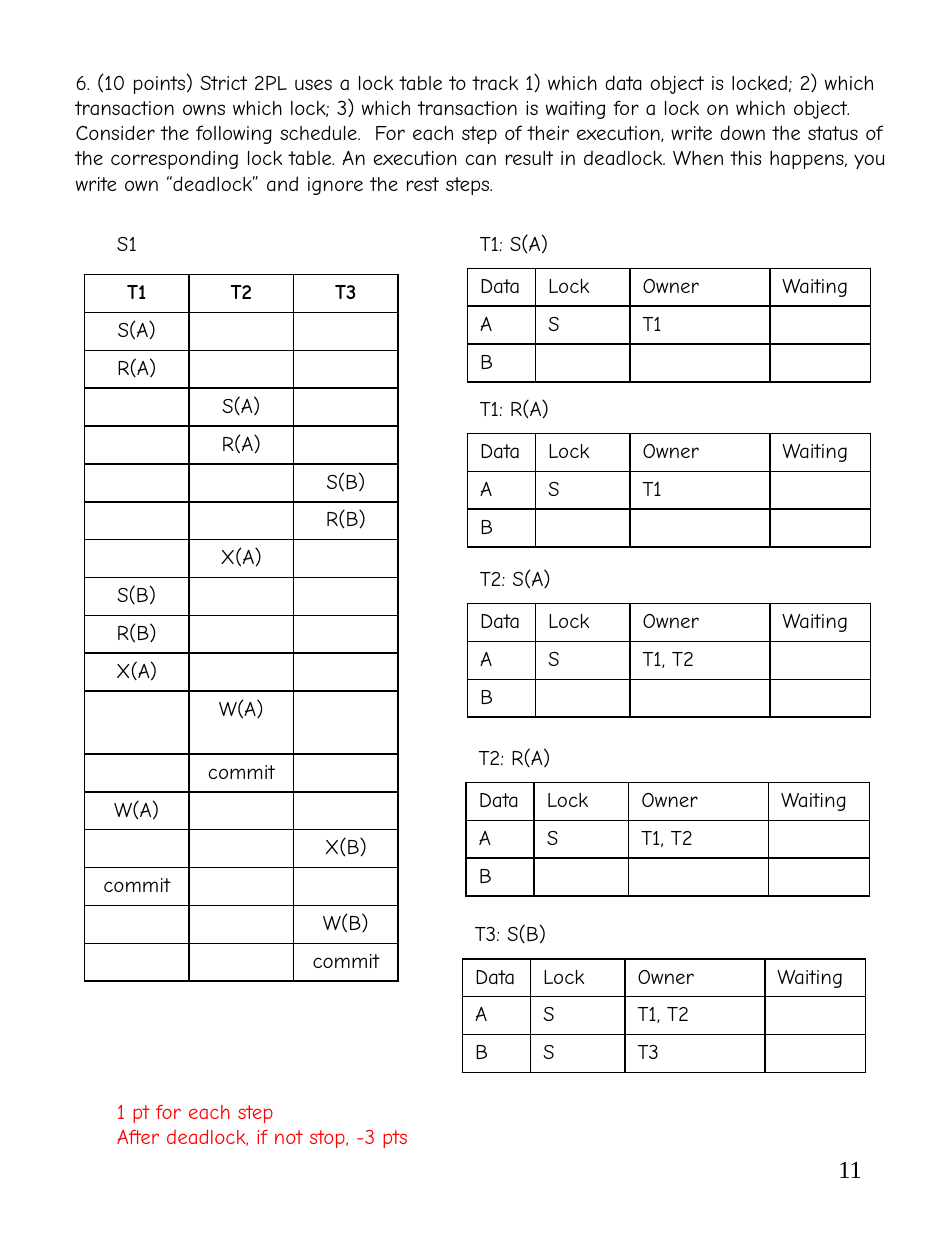
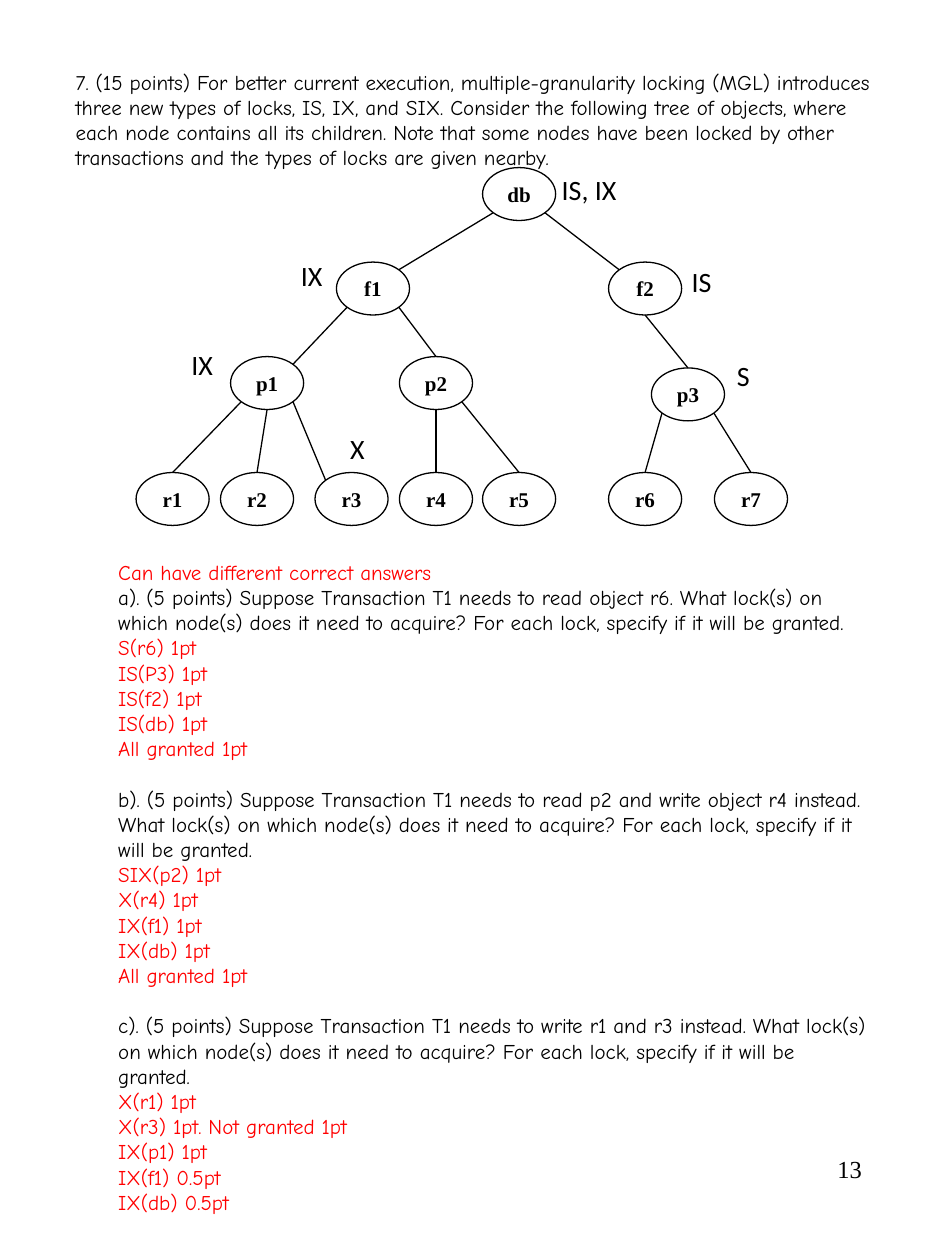
from typing import NamedTuple

from lxml.etree import SubElement
from pptx import Presentation
from pptx.dml.color import RGBColor
from pptx.enum.shapes import MSO_CONNECTOR, MSO_SHAPE
from pptx.enum.text import MSO_ANCHOR, MSO_AUTO_SIZE, PP_ALIGN
from pptx.oxml.ns import qn
from pptx.slide import Slide
from pptx.table import Table, _Cell
from pptx.text.text import TextFrame, _Paragraph
from pptx.util import Inches, Pt

BLACK, RED, WHITE = "000000", "FF0000", "FFFFFF"
BODY = {"name": "Comic Neue", "size": Pt(12), "bold": False}
HEADER = {**BODY, "bold": True}
NODE = {"name": "Times New Roman", "size": Pt(12), "bold": True}
LOCK = {"name": "Calibri", "size": Pt(16), "bold": False}
PAGE = {"name": "Times New Roman", "size": Pt(14), "bold": False}
ROW_H = 0.3
NODE_W, NODE_H = 0.58, 0.42
DIAG = 0.71


class Box(NamedTuple):
    x: float
    y: float
    w: float
    h: float


class Line(NamedTuple):
    text: str
    color: str = BLACK
    before: float = 0


class LockStep(NamedTuple):
    caption: str
    x: float
    y: float
    a: tuple[str, str]
    b: tuple[str, str] = ("", "")


class Node(NamedTuple):
    name: str
    x: float
    y: float


class Edge(NamedTuple):
    parent: str
    start: str
    child: str
    end: str


class Held(NamedTuple):
    text: str
    x: float
    y: float
    w: float


SITES = {
    "top": (0, -1), "bottom": (0, 1),
    "nw": (-DIAG, -DIAG), "ne": (DIAG, -DIAG),
    "sw": (-DIAG, DIAG), "se": (DIAG, DIAG),
}

LOCK_PROMPT = (
    "6. (10 points) Strict 2PL uses a lock table to track 1) which data object is locked; "
    "2) which transaction owns which lock; 3) which transaction is waiting for a lock on "
    "which object. Consider the following schedule.  For each step of their execution, "
    "write down the status of the corresponding lock table. An execution can result in "
    "deadlock. When this happens, you write own “deadlock” and ignore the rest steps."
)
SCHEDULE = [
    (0, "S(A)"), (0, "R(A)"), (1, "S(A)"), (1, "R(A)"), (2, "S(B)"), (2, "R(B)"),
    (1, "X(A)"), (0, "S(B)"), (0, "R(B)"), (0, "X(A)"), (1, "W(A)"), (1, "commit"),
    (0, "W(A)"), (2, "X(B)"), (0, "commit"), (2, "W(B)"), (2, "commit"),
]
TALL_ROW = 11
LOCK_STEPS = [
    LockStep("T1: S(A)", 3.71, 1.78, ("S", "T1")),
    LockStep("T1: R(A)", 3.71, 3.09, ("S", "T1")),
    LockStep("T2: S(A)", 3.71, 4.44, ("S", "T1, T2")),
    LockStep("T2: R(A)", 3.7, 5.86, ("S", "T1, T2")),
    LockStep("T3: S(B)", 3.67, 7.26, ("S", "T1, T2"), ("S", "T3")),
]
GRADING = [Line("1 pt for each step", RED), Line("After deadlock, if not stop, -3 pts", RED)]

TREE_PROMPT = (
    "7. (15 points) For better current execution, multiple-granularity locking (MGL) "
    "introduces three new types of locks, IS, IX, and SIX. Consider the following tree of "
    "objects, where each node contains all its children. Note that some nodes have been "
    "locked by other transactions and the types of locks are given nearby."
)
NODES = [
    Node("db", 3.83, 1.33),
    Node("f1", 2.67, 2.08), Node("f2", 4.83, 2.08),
    Node("p1", 1.83, 2.83), Node("p2", 3.17, 2.83), Node("p3", 5.17, 2.92),
    *(Node(f"r{i}", x, 3.75)
      for i, x in enumerate((1.08, 1.75, 2.5, 3.17, 3.83, 4.83, 5.67), 1)),
]
EDGES = [
    Edge("db", "sw", "f1", "ne"), Edge("db", "se", "f2", "nw"),
    Edge("f1", "sw", "p1", "ne"), Edge("f1", "se", "p2", "top"),
    Edge("f2", "bottom", "p3", "top"),
    Edge("p1", "sw", "r1", "top"), Edge("p1", "bottom", "r2", "top"),
    Edge("p1", "se", "r3", "nw"),
    Edge("p2", "bottom", "r4", "top"), Edge("p2", "se", "r5", "top"),
    Edge("p3", "sw", "r6", "top"), Edge("p3", "se", "r7", "top"),
]
HELD_LOCKS = [
    Held("IS, IX", 4.36, 1.32, 0.64), Held("IS", 5.39, 2.05, 0.36),
    Held("S", 5.75, 2.8, 0.31), Held("IX", 2.29, 2, 0.37),
    Held("IX", 1.42, 2.71, 0.37), Held("X", 2.68, 3.38, 0.32),
]
LOCK_QUESTION = ("What lock(s) on which node(s) does it need to acquire? "
                 "For each lock, specify if it will be granted.")
QUESTIONS = [
    ("a). (5 points) Suppose Transaction T1 needs to read object r6.",
     ["S(r6) 1pt", "IS(P3) 1pt", "IS(f2) 1pt", "IS(db) 1pt", "All granted 1pt"]),
    ("b). (5 points) Suppose Transaction T1 needs to read p2 and write object r4 instead.",
     ["SIX(p2) 1pt", "X(r4) 1pt", "IX(f1) 1pt", "IX(db) 1pt", "All granted 1pt"]),
    ("c). (5 points) Suppose Transaction T1 needs to write r1 and r3 instead.",
     ["X(r1) 1pt", "X(r3) 1pt. Not granted 1pt", "IX(p1) 1pt", "IX(f1) 0.5pt",
      "IX(db) 0.5pt"]),
]


def rgb(color: str) -> RGBColor:
    return RGBColor.from_string(color)


def inches(*values: float) -> list[Inches]:
    return [Inches(v) for v in values]


def write(p: _Paragraph, text: str, fmt: dict, color: str = BLACK) -> None:
    r = p.add_run()
    r.text = text
    for key, value in fmt.items():
        setattr(r.font, key, value)
    r.font.color.rgb = rgb(color)


def fill_frame(tf: TextFrame, lines: list[Line], fmt: dict, align: PP_ALIGN) -> None:
    for i, line in enumerate(lines):
        p = tf.add_paragraph() if i else tf.paragraphs[0]
        p.alignment = align
        p.space_before = Pt(line.before)
        write(p, line.text, fmt, line.color)


def add_text(s: Slide, box: Box, lines: list[Line], fmt: dict = BODY,
             wrap: bool = True, align: PP_ALIGN = PP_ALIGN.LEFT) -> None:
    tf = s.shapes.add_textbox(*inches(*box)).text_frame
    tf.word_wrap = wrap
    fill_frame(tf, lines, fmt, align)


def add_question_slide(prs: Presentation, prompt: str, box: Box, page: str) -> Slide:
    s = prs.slides.add_slide(prs.slide_layouts[5])
    sp = s.shapes.title
    sp.left, sp.top, sp.width, sp.height = inches(*box)
    tf = sp.text_frame
    frame = {"word_wrap": True, "auto_size": MSO_AUTO_SIZE.NONE,
             "vertical_anchor": MSO_ANCHOR.TOP}
    for key, value in frame.items():
        setattr(tf, key, value)
    fill_frame(tf, [Line(prompt)], BODY, PP_ALIGN.LEFT)
    add_text(s, Box(5.38, 9.11, 1.56, 0.67), [Line(page)], PAGE, align=PP_ALIGN.RIGHT)
    return s


def set_borders(cell: _Cell) -> None:
    tc_pr = cell._tc.get_or_add_tcPr()
    for i, side in enumerate(("lnL", "lnR", "lnT", "lnB")):
        ln = tc_pr.makeelement(qn(f"a:{side}"), {"w": str(Pt(1))})
        tc_pr.insert(i, ln)
        SubElement(SubElement(ln, qn("a:solidFill")), qn("a:srgbClr"), val=BLACK)


def add_grid(s: Slide, x: float, y: float, widths: list[float], rows: list[list[str]],
             align: PP_ALIGN, head: dict) -> Table:
    frame = s.shapes.add_table(len(rows), len(widths), *inches(x, y, sum(widths),
                                                               ROW_H * len(rows)))
    table = frame.table
    table.first_row = table.horz_banding = False
    for col, width in zip(table.columns, widths):
        col.width = Inches(width)
    for i, row in enumerate(rows):
        table.rows[i].height = Inches(ROW_H)
        for j, text in enumerate(row):
            cell = table.cell(i, j)
            cell.fill.solid()
            cell.fill.fore_color.rgb = rgb(WHITE)
            set_borders(cell)
            p = cell.text_frame.paragraphs[0]
            p.alignment = align
            if text:
                write(p, text, BODY if i else head)
            else:
                SubElement(p._p, qn("a:endParaRPr"), sz="1200")
    return table


def add_lock_step(s: Slide, step: LockStep) -> None:
    add_text(s, Box(step.x, step.y, 0.87, 0.3), [Line(step.caption)], wrap=False)
    rows = [["Data", "Lock", "Owner", "Waiting"], ["A", *step.a, ""], ["B", *step.b, ""]]
    add_grid(s, step.x, step.y + 0.35, [0.54, 0.75, 1.11, 0.8], rows, PP_ALIGN.LEFT, BODY)


def add_schedule(s: Slide) -> None:
    add_text(s, Box(0.83, 1.78, 0.39, 0.3), [Line("S1")], wrap=False)
    steps = [[op if j == col else "" for j in range(3)] for col, op in SCHEDULE]
    table = add_grid(s, 0.67, 2.18, [0.83] * 3, [["T1", "T2", "T3"], *steps],
                     PP_ALIGN.CENTER, HEADER)
    table.rows[TALL_ROW].height = Inches(0.5)


def add_node(s: Slide, node: Node) -> None:
    sp = s.shapes.add_shape(MSO_SHAPE.OVAL, *inches(node.x, node.y, NODE_W, NODE_H))
    sp.shadow.inherit = False
    sp.fill.background()
    sp.line.color.rgb = rgb(BLACK)
    sp.line.width = Pt(0.75)
    tf = sp.text_frame
    frame = {"word_wrap": False, "vertical_anchor": MSO_ANCHOR.MIDDLE, "margin_left": 0,
             "margin_right": 0, "margin_top": 0, "margin_bottom": 0}
    for key, value in frame.items():
        setattr(tf, key, value)
    fill_frame(tf, [Line(node.name)], NODE, PP_ALIGN.CENTER)


def site_point(node: Node, site: str) -> tuple[float, float]:
    dx, dy = SITES[site]
    return node.x + NODE_W / 2 * (1 + dx), node.y + NODE_H / 2 * (1 + dy)


def add_edge(s: Slide, nodes: dict[str, Node], edge: Edge) -> None:
    ends = (*site_point(nodes[edge.parent], edge.start),
            *site_point(nodes[edge.child], edge.end))
    line = s.shapes.add_connector(MSO_CONNECTOR.STRAIGHT, *inches(*ends))
    line.line.color.rgb = rgb(BLACK)
    line.line.width = Pt(0.75)
    SubElement(line._element.spPr, qn("a:effectLst"))


def build_lock_table_slide(prs: Presentation) -> None:
    s = add_question_slide(prs, LOCK_PROMPT, Box(0.5, 0.5, 6.83, 1.11), "11")
    add_schedule(s)
    for step in LOCK_STEPS:
        add_lock_step(s, step)
    add_text(s, Box(0.83, 8.67, 3.92, 0.5), GRADING)


def build_lock_tree_slide(prs: Presentation) -> None:
    s = add_question_slide(prs, TREE_PROMPT, Box(0.5, 0.5, 6.67, 0.91), "13")
    nodes = {node.name: node for node in NODES}
    for node in NODES:
        add_node(s, node)
    for edge in EDGES:
        add_edge(s, nodes, edge)
    for held in HELD_LOCKS:
        add_text(s, Box(held.x, held.y, held.w, 0.37), [Line(held.text)], LOCK, wrap=False)
    lines = [Line("Can have different correct answers", RED)]
    for i, (task, answers) in enumerate(QUESTIONS):
        lines.append(Line(f"{task} {LOCK_QUESTION}", before=14.4 if i else 0))
        lines += [Line(answer, RED) for answer in answers]
    add_text(s, Box(0.84, 4.39, 6.17, 5.76), lines)


def main() -> None:
    prs = Presentation()
    prs.slide_width, prs.slide_height = inches(7.5, 10)
    build_lock_table_slide(prs)
    build_lock_tree_slide(prs)
    prs.save("out.pptx")


if __name__ == "__main__":
    main()
